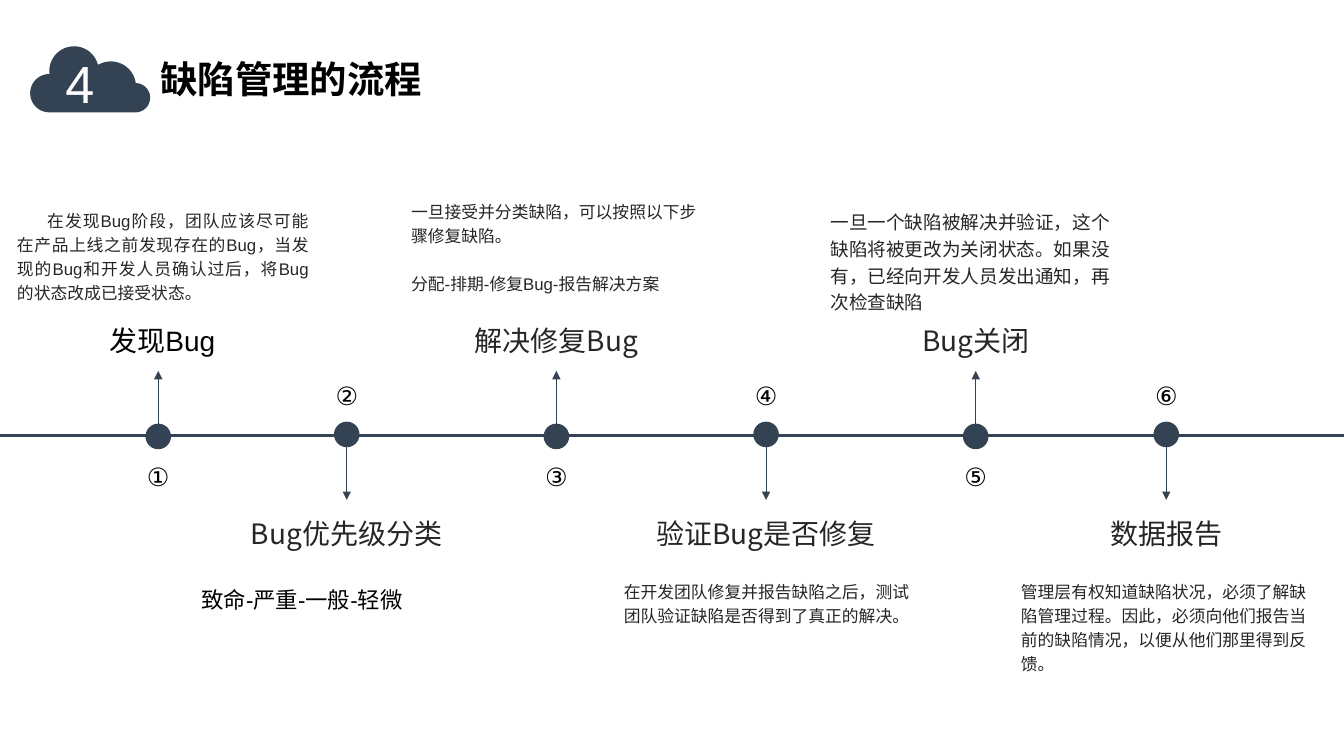
from dataclasses import dataclass
from math import cos, radians, sin

from lxml.etree import SubElement
from pptx import Presentation
from pptx.dml.color import RGBColor
from pptx.enum.shapes import MSO_CONNECTOR, MSO_SHAPE
from pptx.enum.text import MSO_ANCHOR, PP_ALIGN
from pptx.oxml.ns import qn
from pptx.util import Inches, Pt


@dataclass(frozen=True)
class Theme:
    navy: RGBColor = RGBColor(0x33, 0x43, 0x53)
    black: RGBColor = RGBColor(0, 0, 0)
    gray: RGBColor = RGBColor(0x26, 0x26, 0x26)
    white: RGBColor = RGBColor(255, 255, 255)
    sans: str = "Arial"
    cjk: str = "Noto Sans CJK SC"
    title: float = 26.7
    chapter: float = 37.3
    heading: float = 20
    number: float = 18
    body: float = 12
    body_large: float = 13.3
    body_short: float = 16
    leading: float = 1.2
    paragraph_gap: float = 17.4


THEME = Theme()
CELL = Inches(0.1)  # the slide is a grid of square cells
COLUMNS, ROWS = 133.33, 75
AXIS_ROW = 43.2
CARD_COLUMNS = 31


@dataclass(frozen=True)
class Step:
    number: str
    column: float
    heading: str
    body: tuple
    body_row: float
    size: float = THEME.body
    align: PP_ALIGN = PP_ALIGN.LEFT
    heading_font: str = THEME.cjk
    heading_color: RGBColor = THEME.gray
    body_font: str = THEME.sans
    body_color: RGBColor = THEME.gray
    indent: float = 0
    shift: float = 0


STEPS = (
    Step("①", 15.7, "发现Bug",
         ("在发现Bug阶段，团队应该尽可能在产品上线之前发现存在的Bug，当发现的Bug和开发人员确认过后，将Bug的状态改成已接受状态。",),
         20, align=PP_ALIGN.JUSTIFY, heading_font=THEME.sans,
         heading_color=THEME.black, indent=3, shift=0.4),
    Step("②", 34.4, "Bug优先级分类", ("致命-严重-一般-轻微",), 57.1,
         size=THEME.body_short, align=PP_ALIGN.JUSTIFY, body_color=THEME.black),
    Step("③", 55.2, "解决修复Bug",
         ("一旦接受并分类缺陷，可以按照以下步骤修复缺陷。", "分配-排期-修复Bug-报告解决方案"), 19.1),
    Step("④", 76, "验证Bug是否修复",
         ("在开发团队修复并报告缺陷之后，测试团队验证缺陷是否得到了真正的解决。",),
         56.8, align=PP_ALIGN.CENTER),
    Step("⑤", 96.8, "Bug关闭",
         ("一旦一个缺陷被解决并验证，这个缺陷将被更改为关闭状态。如果没有，已经向开发人员发出通知，再次检查缺陷",),
         20, size=THEME.body_large),
    Step("⑥", 115.7, "数据报告",
         ("管理层有权知道缺陷状况，必须了解缺陷管理过程。因此，必须向他们报告当前的缺陷情况，以便从他们那里得到反馈。",),
         56.8, body_font=THEME.cjk),
)


def cells(*counts):
    return [round(count * CELL) for count in counts]


def write(frame, paragraphs, size, color, font, align=PP_ALIGN.LEFT, leading=1.0, indent=0, bold=False):
    frame.word_wrap = True
    frame.vertical_anchor = MSO_ANCHOR.TOP
    for index, text in enumerate(paragraphs):
        paragraph = frame.add_paragraph() if index else frame.paragraphs[0]
        paragraph.text = text
        paragraph.alignment = align
        paragraph.line_spacing = leading
        paragraph.space_before = Pt(THEME.paragraph_gap if index else 0)
        if indent:
            paragraph._p.get_or_add_pPr().set("indent", str(round(indent * CELL)))
        paragraph.font.size = Pt(size)
        paragraph.font.bold = bold
        paragraph.font.color.rgb = color
        paragraph.font.name = font


def add_text(slide, box, *args, **options):
    write(slide.shapes.add_textbox(*cells(*box)).text_frame, *args, **options)


def paint(shape):
    shape.shadow.inherit = False
    shape.fill.solid()
    shape.fill.fore_color.rgb = THEME.navy
    shape.line.color.rgb = THEME.navy
    shape.line.width = Pt(1)


def add_line(slide, start, end, width, arrow=False):
    line = slide.shapes.add_connector(MSO_CONNECTOR.STRAIGHT, *cells(*start, *end))
    line.line.color.rgb = THEME.navy
    line.line.width = Pt(width)
    if arrow:
        SubElement(line.line._get_or_add_ln(), qn("a:tailEnd"), type="triangle")
    SubElement(line._element.spPr, qn("a:effectLst"))


def add_cloud(slide, left, top):
    # Lobes: centre column, centre row, radius, first and last angle
    lobes = ((1.9, 4.65, 1.9, 90, 270), (4.35, 2.45, 2.45, 173, 346),
             (8, 4, 2.5, 241, 353), (10.45, 5.1, 1.45, 270, 450))
    outline = [((left + x + radius * cos(radians(angle))) * CELL,
                (top + y + radius * sin(radians(angle))) * CELL)
               for x, y, radius, first, last in lobes
               for angle in range(first, last + 1, 4)]
    builder = slide.shapes.build_freeform(*map(round, outline[0]))
    builder.add_line_segments([tuple(map(round, point)) for point in outline[1:]])
    cloud = builder.convert_to_shape()
    paint(cloud)
    cloud.line.fill.background()


def add_header(slide, left, top):
    # Chapter cloud and slide title
    add_cloud(slide, left, top)
    add_text(slide, (left + 2.5, top, 6.9, 7.3), ["4"], THEME.chapter, THEME.white, THEME.sans)
    title = slide.shapes.title
    title.left, title.top, title.width, title.height = cells(left + 11.9, top + 0.5, 50.1, 5.5)
    write(title.text_frame, ["缺陷管理的流程"], THEME.title, THEME.black, THEME.cjk, bold=True)


def add_step(slide, step, above):
    # Pin on the axis, pointing at its card
    side = -1 if above else 1
    radius = 1.2
    middle = AXIS_ROW - 0.1 * side
    paint(slide.shapes.add_shape(MSO_SHAPE.OVAL, *cells(
        step.column - radius, middle - radius, 2 * radius, 2 * radius)))
    base = middle + radius * side
    add_line(slide, (step.column, base), (step.column, base + 5.3 * side), 0.5, arrow=True)
    add_text(slide, (step.column - 4.5, 45.3 if above else 37.2, 9, 4),
             [step.number], THEME.number, THEME.black, THEME.sans, PP_ALIGN.CENTER)
    # Card with heading and description
    left = step.column + step.shift - CARD_COLUMNS / 2
    add_text(slide, (left, 31.6 if above else 50.7, CARD_COLUMNS, 4.4), [step.heading],
             THEME.heading, step.heading_color, step.heading_font, PP_ALIGN.CENTER)
    add_text(slide, (left + 0.1, step.body_row, CARD_COLUMNS - 0.1, 11.5), step.body,
             step.size, step.body_color, step.body_font, step.align,
             leading=THEME.leading, indent=step.indent)


def add_timeline(slide):
    add_line(slide, (0, AXIS_ROW), (COLUMNS, AXIS_ROW), 2.25)
    for index, step in enumerate(STEPS):
        add_step(slide, step, above=index % 2 == 0)


def main():
    deck = Presentation()
    deck.slide_width, deck.slide_height = cells(COLUMNS, ROWS)
    slide = deck.slides.add_slide(deck.slide_layouts[5])
    add_timeline(slide)
    add_header(slide, 3, 4.6)
    deck.save("out.pptx")


if __name__ == "__main__":
    main()
